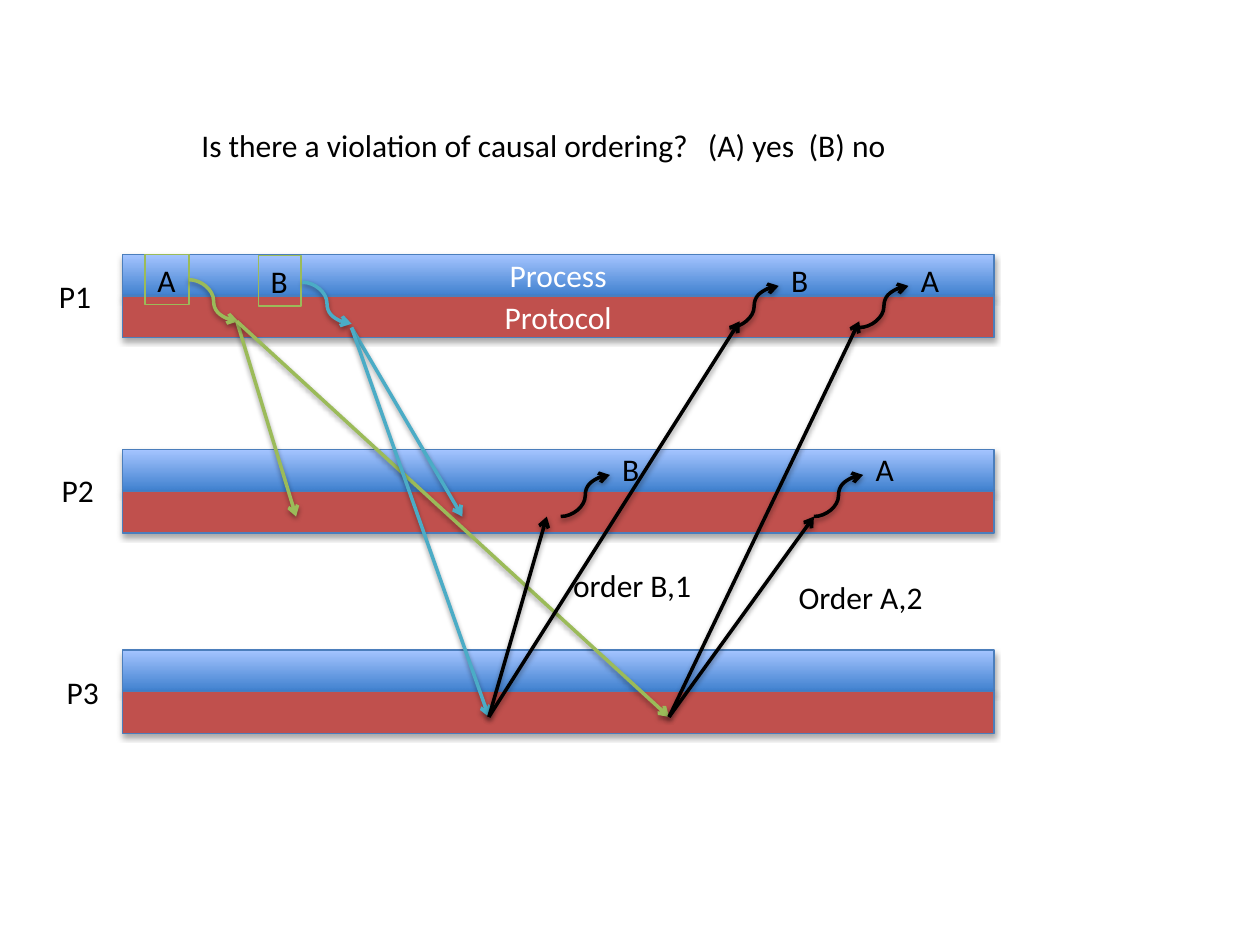
"""Build a slide on causal ordering of messages between three processes."""

import dataclasses
import typing

import lxml.etree
import pptx
import pptx.dml.color
import pptx.enum.shapes
import pptx.enum.text
import pptx.oxml.ns
import pptx.util

RGB = pptx.dml.color.RGBColor
BLACK = RGB(0x00, 0x00, 0x00)
WHITE = RGB(0xFF, 0xFF, 0xFF)
RED = RGB(0xC0, 0x50, 0x4D)
EDGE = RGB(0x4B, 0x7E, 0xBC)
DEEP_BLUE = RGB(0x3F, 0x80, 0xCE)
PALE_BLUE = RGB(0xA4, 0xC4, 0xFF)
GREEN = RGB(0x9B, 0xBB, 0x59)
TEAL = RGB(0x4B, 0xAC, 0xC6)

WIDTH, HEIGHT = pptx.util.Inches(10), pptx.util.Inches(7.5)
COLS, ROWS = 100, 75
LANE_LEFT, LANE_WIDTH, BAND = 9.7, 69.2, 3.3
LANE_TOPS = (20.2, 35.7, 51.6)
PORT_1, PORT_2, PORT_3 = (top + 5.3 for top in LANE_TOPS)
HOP_COLS, HOP_ROWS = 3.9, 3.3
LABEL_ROWS = 4.0

FONT = {"name": "Calibri", "size": pptx.util.Pt(18)}
LABEL_FRAME = {
    "word_wrap": False,
    "auto_size": pptx.enum.text.MSO_AUTO_SIZE.SHAPE_TO_FIT_TEXT,
}
STRAIGHT = pptx.enum.shapes.MSO_CONNECTOR.STRAIGHT
CURVE = pptx.enum.shapes.MSO_CONNECTOR.CURVE


@dataclasses.dataclass(frozen=True)
class Lane:
    """A process lane with the words on its two bands."""

    top: float
    process: str = ""
    protocol: str = ""


@dataclasses.dataclass(frozen=True)
class Label:
    """A text on the grid, boxed when it has an outline."""

    text: str
    col: float
    row: float
    cols: float
    outline: typing.Optional[RGB] = None
    tabs: tuple[float, ...] = ()


@dataclasses.dataclass(frozen=True)
class Arrow:
    """An arrow between two grid points."""

    col: float
    row: float
    to_col: float
    to_row: float
    color: RGB = BLACK
    kind: typing.Any = STRAIGHT


def hop(col: float, row: float, color: RGB = BLACK, down: bool = False) -> Arrow:
    """Return the curved arrow that crosses between the bands of a lane."""
    to_row = row + HOP_ROWS if down else row - HOP_ROWS
    return Arrow(col, row, col + HOP_COLS, to_row, color, CURVE)


LANES = (
    Lane(LANE_TOPS[0], "Process", "Protocol"),
    Lane(LANE_TOPS[1]),
    Lane(LANE_TOPS[2]),
)
LABELS = (
    Label("P1", 3.7, 21.5, 4.6),
    Label("P2", 3.9, 36.9, 4.6),
    Label("P3", 4.3, 52.9, 4.6),
    Label("A", 11.5, 20.2, 3.5, GREEN),
    Label("B", 20.5, 20.3, 3.4, GREEN),
    Label("B", 61.8, 20.2, 3.4),
    Label("A", 72.1, 20.2, 3.5),
    Label("B", 48.4, 35.2, 3.4),
    Label("A", 68.5, 35.2, 3.5),
    Label("order B,1", 44.5, 44.4, 11.5),
    Label("Order A,2", 62.4, 45.4, 12.0),
    Label("Is there a violation of causal ordering?\t(A) yes\t(B) no",
          15.0, 9.5, 57.1, tabs=(40.2, 48.2)),
)
ARROWS = (
    hop(15.0, 22.2, GREEN, down=True),
    Arrow(18.8, PORT_1, 23.5, PORT_2, GREEN),
    Arrow(18.8, PORT_1, 53.1, PORT_3, GREEN),
    hop(24.0, 22.4, TEAL, down=True),
    Arrow(27.9, 26.0, 36.7, PORT_2, TEAL),
    Arrow(27.9, 26.0, 38.8, PORT_3, TEAL),
    Arrow(38.8, PORT_3, 43.4, PORT_2),
    Arrow(38.8, PORT_3, 58.7, PORT_1),
    hop(44.5, PORT_2),
    hop(57.9, 26.0),
    Arrow(53.1, PORT_3, 68.2, PORT_1),
    Arrow(53.1, PORT_3, 64.6, PORT_2),
    hop(64.6, PORT_2),
    hop(68.2, 26.0),
)


def x(cols: float) -> int:
    """Turn grid columns into a length."""
    return round(WIDTH * cols / COLS)


def y(rows: float) -> int:
    """Turn grid rows into a length."""
    return round(HEIGHT * rows / ROWS)


def apply(target: typing.Any, values: dict[str, typing.Any]) -> None:
    """Set each format value on the target."""
    for name, value in values.items():
        setattr(target, name, value)


def child(parent: typing.Any, tag: str, **attrs: typing.Any) -> typing.Any:
    """Append a drawing element with its attributes."""
    values = {name: str(value) for name, value in attrs.items()}
    return lxml.etree.SubElement(parent, pptx.oxml.ns.qn(tag), values)


def add_shadow(s: typing.Any, opacity: int, distance: float) -> None:
    """Give a shape or connector a soft shadow below it."""
    effects = child(s._element.spPr, "a:effectLst")
    shadow = child(effects, "a:outerShdw", blurRad=pptx.util.Pt(3.1),
                   dist=pptx.util.Pt(distance), dir=90 * 60000, rotWithShape=0)
    color = child(shadow, "a:srgbClr", val=BLACK)
    child(color, "a:alpha", val=opacity * 1000)


def write(tf: typing.Any, text: str, color: RGB) -> typing.Any:
    """Put one run of text in the frame and return its paragraph."""
    p = tf.paragraphs[0]
    r = p.add_run()
    r.text = text
    apply(r.font, FONT)
    r.font.color.rgb = color
    return p


def draw_lane(sp: typing.Any, lane: Lane) -> None:
    """Draw the process band above the protocol band as one group."""
    group = sp.add_group_shape()
    for i, text in enumerate((lane.process, lane.protocol)):
        s = group.shapes.add_shape(
            pptx.enum.shapes.MSO_SHAPE.RECTANGLE, x(LANE_LEFT),
            y(lane.top + i * BAND), x(LANE_WIDTH), y(BAND))
        if i == 0:
            s.fill.gradient()
            s.fill.gradient_angle = 90
            for stop, color in zip(s.fill.gradient_stops, (DEEP_BLUE, PALE_BLUE)):
                stop.color.rgb = color
        else:
            s.fill.solid()
            s.fill.fore_color.rgb = RED
        s.line.color.rgb = EDGE
        s.line.width = pptx.util.Pt(0.75)
        add_shadow(s, 35, 1.8)
        if text:
            s.text_frame.vertical_anchor = pptx.enum.text.MSO_ANCHOR.MIDDLE
            p = write(s.text_frame, text, WHITE)
            p.alignment = pptx.enum.text.PP_ALIGN.CENTER


def draw_label(sp: typing.Any, label: Label) -> None:
    """Draw a text box with its outline and tab stops, if any."""
    s = sp.add_textbox(x(label.col), y(label.row), x(label.cols), y(LABEL_ROWS))
    apply(s.text_frame, LABEL_FRAME)
    p = write(s.text_frame, label.text, BLACK)
    if label.outline is not None:
        s.line.color.rgb = label.outline
        s.line.width = pptx.util.Pt(0.75)
    if label.tabs:
        s.text_frame.word_wrap = True
        stops = child(p._p.get_or_add_pPr(), "a:tabLst")
        for tab in label.tabs:
            child(stops, "a:tab", pos=x(tab), algn="l")


def draw_arrow(sp: typing.Any, arrow: Arrow) -> None:
    """Draw a connector with an open arrowhead at its end."""
    s = sp.add_connector(arrow.kind, x(arrow.col), y(arrow.row),
                         x(arrow.to_col), y(arrow.to_row))
    s.line.color.rgb = arrow.color
    s.line.width = pptx.util.Pt(2)
    child(s._element.spPr.find(pptx.oxml.ns.qn("a:ln")), "a:tailEnd", type="arrow")
    add_shadow(s, 38, 1.6)


def main() -> None:
    """Build the slide and save it."""
    prs = pptx.Presentation()
    apply(prs, {"slide_width": WIDTH, "slide_height": HEIGHT})
    sp = prs.slides.add_slide(prs.slide_layouts[6]).shapes
    for draw, items in ((draw_lane, LANES), (draw_label, LABELS), (draw_arrow, ARROWS)):
        for item in items:
            draw(sp, item)
    prs.save("out.pptx")


if __name__ == "__main__":
    main()
